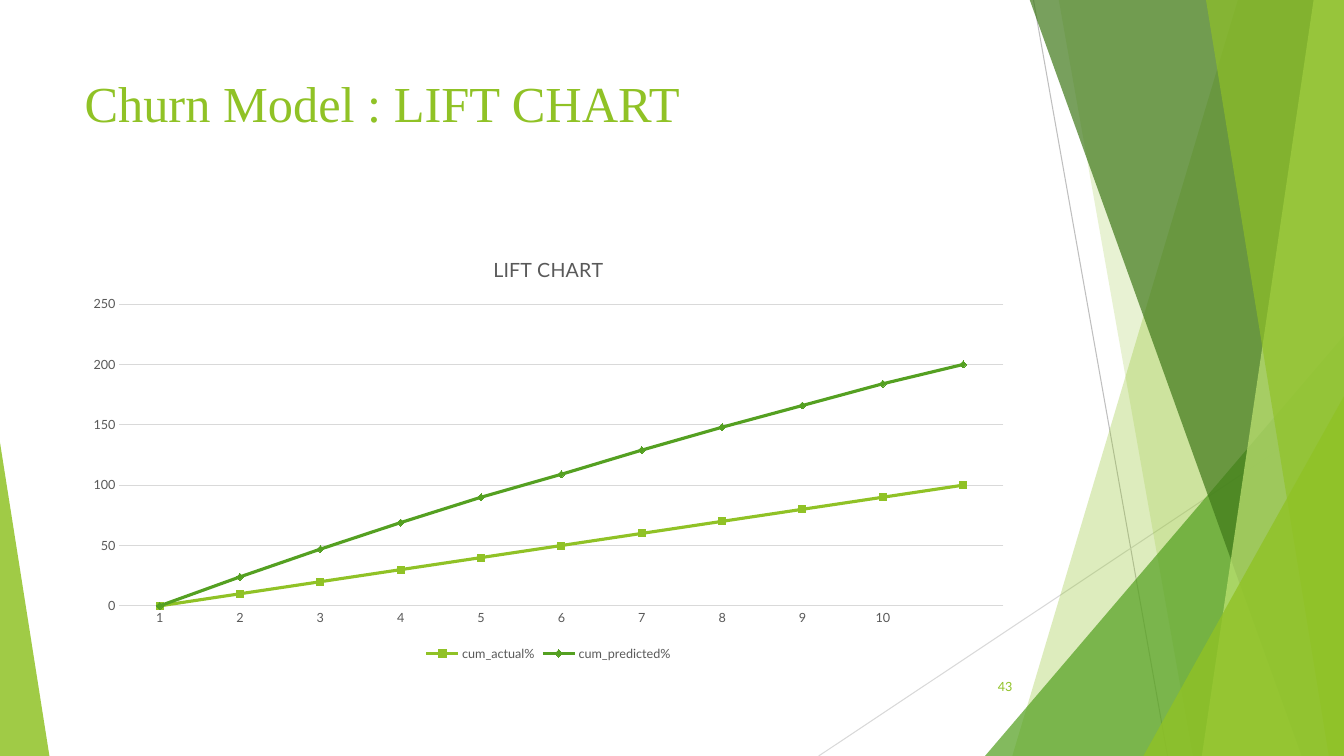
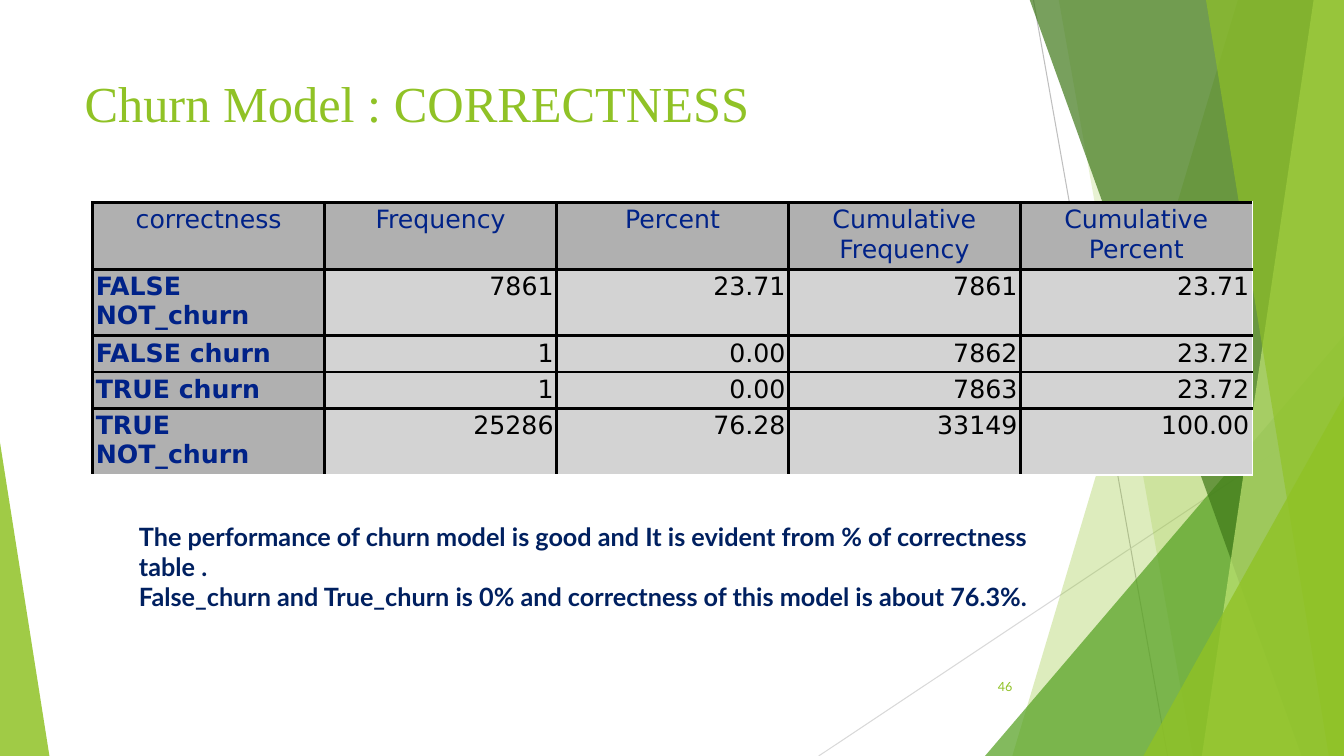
from lxml import etree
from pptx import Presentation
from pptx.chart.data import CategoryChartData
from pptx.dml.color import RGBColor
from pptx.enum.chart import XL_CHART_TYPE, XL_LEGEND_POSITION, XL_TICK_MARK
from pptx.enum.shapes import MSO_CONNECTOR, MSO_SHAPE
from pptx.enum.text import MSO_ANCHOR, PP_ALIGN
from pptx.oxml.ns import qn
from pptx.util import Inches, Pt

LINE_STACKED = XL_CHART_TYPE.LINE_STACKED
LEGEND_BOTTOM = XL_LEGEND_POSITION.BOTTOM
NO_TICK = XL_TICK_MARK.NONE
STRAIGHT = MSO_CONNECTOR.STRAIGHT
TRIANGLE = MSO_SHAPE.ISOSCELES_TRIANGLE
TOP, MIDDLE = MSO_ANCHOR.TOP, MSO_ANCHOR.MIDDLE
LEFT, CENTER, RIGHT = PP_ALIGN.LEFT, PP_ALIGN.CENTER, PP_ALIGN.RIGHT

LIME = RGBColor(0x90, 0xC2, 0x26)
GREEN = RGBColor(0x54, 0xA0, 0x21)
FOREST = RGBColor(0x3F, 0x78, 0x19)
PALE_LIME = RGBColor(0xC0, 0xE4, 0x74)
SILVER = RGBColor(0xBF, 0xBF, 0xBF)
LIGHT_GRAY = RGBColor(0xD9, 0xD9, 0xD9)
DARK_GRAY = RGBColor(0x59, 0x59, 0x59)
HEAD_FILL = RGBColor(0xB0, 0xB0, 0xB0)
CELL_FILL = RGBColor(0xD3, 0xD3, 0xD3)
HEAD_BLUE = RGBColor(0x00, 0x22, 0x88)
NAVY = RGBColor(0x00, 0x20, 0x60)
BLACK = RGBColor(0, 0, 0)
WHITE = RGBColor(0xFF, 0xFF, 0xFF)

SERIF, BODY, TABLE_FONT = "Times New Roman", "Lato", "DejaVu Sans"
WIDTH, HEIGHT = 13.33, 7.5
BAND_TOP = -0.01


class Deck:
    def __init__(self):
        self.prs = Presentation()
        self.prs.slide_width = Inches(WIDTH)
        self.prs.slide_height = Inches(HEIGHT)

    def slide(self, title, number):
        self.s = self.prs.slides.add_slide(self.prs.slide_layouts[6])
        self.backdrop()
        self.text([title], 0.74, 0.67, 9.4, 1.44, 36, LIME, font=SERIF)
        self.text([number], 9.39, 6.61, 0.75, 0.4, 9, LIME,
                  align=RIGHT, anchor=MIDDLE)

    def backdrop(self):
        self.line(10.25, 0, 11.58, HEIGHT, SILVER)
        self.line(WIDTH, 4.03, 8.12, HEIGHT, LIGHT_GRAY)
        self.band(12.28, 10.04, LIME, 30)
        self.band(10.5, 11.83, LIME, 20)
        self.triangle(9.77, 3.33, 3.56, 1, GREEN, 72)
        self.band(10.21, 12.91, FOREST, 70)
        self.band(13.03, 11.92, PALE_LIME, 70)
        self.band(11.96, 13.18, LIME, 65)
        self.triangle(11.34, 3.93, 1.99, 1, LIME, 80)
        self.triangle(0, 4.39, 0.49, 0, LIME, 85)

    def line(self, x1, y1, x2, y2, color):
        sp = self.s.shapes.add_connector(
            STRAIGHT, Inches(x1), Inches(y1), Inches(x2), Inches(y2))
        sp.line.color.rgb = color
        sp.line.width = Pt(0.75)
        etree.SubElement(sp._element.spPr, qn("a:effectLst"))

    def band(self, top_x, bottom_x, color, opacity):
        points = [(WIDTH, BAND_TOP), (WIDTH, HEIGHT), (bottom_x, HEIGHT)]
        fb = self.s.shapes.build_freeform(Inches(top_x), Inches(BAND_TOP))
        fb.add_line_segments([(Inches(x), Inches(y)) for x, y in points])
        self.tint(fb.convert_to_shape(), color, opacity)

    def triangle(self, x, y, w, apex, color, opacity):
        sp = self.s.shapes.add_shape(
            TRIANGLE, Inches(x), Inches(y), Inches(w), Inches(HEIGHT - y))
        sp.adjustments[0] = apex
        self.tint(sp, color, opacity)

    def tint(self, sp, color, opacity):
        sp.shadow.inherit = False
        sp.line.fill.background()
        sp.fill.solid()
        sp.fill.fore_color.rgb = color
        clr = sp._element.spPr.find(qn("a:solidFill")).find(qn("a:srgbClr"))
        etree.SubElement(clr, qn("a:alpha"), val=str(opacity * 1000))

    def style(self, font, name, size, color, bold=False):
        font.name = name
        font.size = Pt(size)
        font.color.rgb = color
        font.bold = bold

    def text(self, lines, x, y, w, h, size, color, font=BODY, bold=False,
             align=LEFT, anchor=TOP):
        sp = self.s.shapes.add_textbox(
            Inches(x), Inches(y), Inches(w), Inches(h))
        tf = sp.text_frame
        tf.word_wrap = True
        tf.vertical_anchor = anchor
        tf.text = "\n".join(lines)
        for p in tf.paragraphs:
            p.alignment = align
            self.style(p.font, font, size, color, bold)

    def line_chart(self, title, categories, series, x, y, w, h):
        data = CategoryChartData()
        data.categories = categories
        for name, values, _ in series:
            data.add_series(name, values)
        chart = self.s.shapes.add_chart(
            LINE_STACKED, Inches(x), Inches(y), Inches(w), Inches(h),
            data).chart
        self.style(chart.font, BODY, 10, BLACK)
        chart.has_title = True
        chart.chart_title.include_in_layout = False
        tf = chart.chart_title.text_frame
        tf.text = title
        self.style(tf.paragraphs[0].font, BODY, 14, DARK_GRAY)
        chart.has_legend = True
        chart.legend.position = LEGEND_BOTTOM
        chart.legend.include_in_layout = False
        self.style(chart.legend.font, BODY, 9, DARK_GRAY)
        for axis in (chart.category_axis, chart.value_axis):
            axis.major_tick_mark = axis.minor_tick_mark = NO_TICK
            self.style(axis.tick_labels.font, BODY, 9, DARK_GRAY)
        chart.category_axis.format.line.color.rgb = LIGHT_GRAY
        chart.category_axis.format.line.width = Pt(0.75)
        chart.value_axis.format.line.fill.background()
        grid = chart.value_axis.major_gridlines.format.line
        grid.color.rgb = LIGHT_GRAY
        grid.width = Pt(0.75)
        plot = chart.plots[0]
        plot.vary_by_categories = False
        for ser, (_, _, color) in zip(plot.series, series):
            ser.smooth = False
            ser.marker.style = None
            ser.format.line.color.rgb = color
            ser.format.line.width = Pt(2.25)
        blanks = chart._chartSpace.chart.find(qn("c:dispBlanksAs"))
        blanks.set("val", "zero")

    def border(self, cell, side, color, width):
        ln = etree.SubElement(cell._tc.get_or_add_tcPr(), qn("a:ln" + side),
                              w=str(Pt(width)))
        fill = etree.SubElement(ln, qn("a:solidFill"))
        etree.SubElement(fill, qn("a:srgbClr"), val=str(color))

    def table(self, rows, heights, x, y, w):
        n_rows, n_cols = len(rows), len(rows[0])
        table = self.s.shapes.add_table(
            n_rows, n_cols, Inches(x), Inches(y), Inches(w),
            Inches(sum(heights))).table
        table.first_row = table.horz_banding = False
        for row, height in zip(table.rows, heights):
            row.height = Inches(height)
        for i, row in enumerate(rows):
            for j, value in enumerate(row):
                cell = table.cell(i, j)
                outer = {"R": j == n_cols - 1, "B": i == n_rows - 1}
                for side in "LRTB":
                    if outer.get(side):
                        self.border(cell, side, WHITE, 1.13)
                    else:
                        self.border(cell, side, BLACK, 2.25)
                heading = i == 0 or j == 0
                cell.fill.solid()
                cell.fill.fore_color.rgb = HEAD_FILL if heading else CELL_FILL
                cell.margin_left = cell.margin_right = Inches(0.03)
                cell.margin_top = cell.margin_bottom = Inches(0.03)
                cell.text = value
                p = cell.text_frame.paragraphs[0]
                p.alignment = CENTER if i == 0 else LEFT if j == 0 else RIGHT
                self.style(p.font, TABLE_FONT, 18,
                           HEAD_BLUE if heading else BLACK,
                           bold=i > 0 and j == 0)


deck = Deck()

deck.slide("Churn Model : LIFT CHART", "43")
deciles = [str(n) for n in range(1, 11)] + [""]
actual = [None, *range(10, 101, 10)]
predicted = [None, 14, 27, 39, 50, 59, 69, 78, 86, 94, 100]
deck.line_chart("LIFT CHART", deciles,
                [("cum_actual%", actual, LIME),
                 ("cum_predicted%", predicted, GREEN)],
                0.74, 2.36, 9.4, 4.24)

deck.slide("Churn Model : CORRECTNESS", "46")
deck.table([
    ["correctness", "Frequency", "Percent", "Cumulative Frequency",
     "Cumulative Percent"],
    ["FALSE NOT_churn", "7861", "23.71", "7861", "23.71"],
    ["FALSE churn", "1", "0.00", "7862", "23.72"],
    ["TRUE churn", "1", "0.00", "7863", "23.72"],
    ["TRUE NOT_churn", "25286", "76.28", "33149", "100.00"],
], [0.54, 0.54, 0.29, 0.29, 0.54], 0.92, 2.01, 11.5)
deck.text([
    "The performance of churn model is good and It is evident from % of "
    "correctness table .",
    "False_churn and True_churn is 0% and correctness of this model is about "
    "76.3%.",
], 1.28, 5.12, 9.22, 0.71, 18, NAVY, bold=True)

deck.prs.save("out.pptx")
